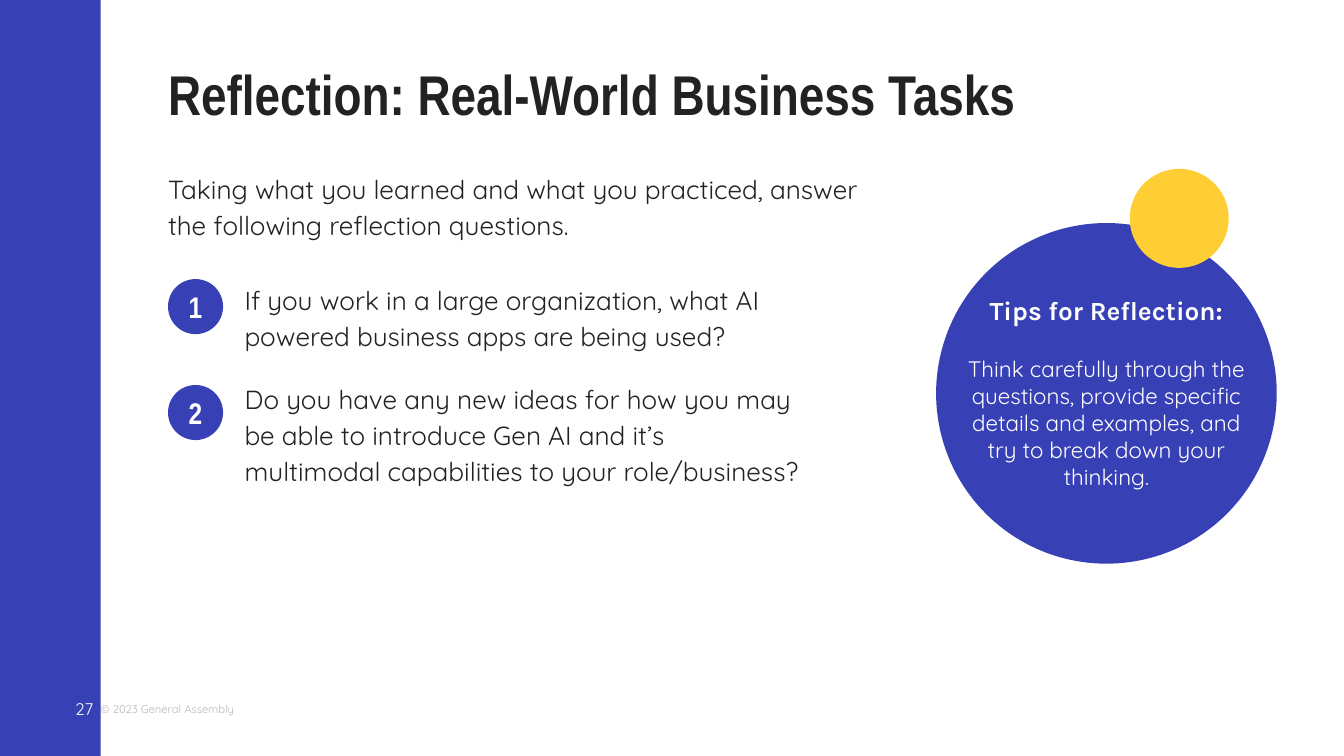
from pptx import Presentation
from pptx.dml.color import RGBColor
from pptx.enum.shapes import MSO_SHAPE as SHAPE
from pptx.enum.text import MSO_ANCHOR as ANCHOR, MSO_AUTO_SIZE as FIT, PP_ALIGN as ALIGN
from pptx.oxml.ns import qn
from pptx.util import Pt
from lxml import etree

COLORS = {"blue": "3740B5", "yellow": "FFCD34", "ink": "222222", "white": "FFFFFF", "gray": "B7B7B7"}
BODY = {"name": "Quicksand", "size": Pt(14), "bold": False}
HEAD = {"name": "Arial Narrow", "size": Pt(30), "bold": True}
PARA = {"line_spacing": 1.15, "space_after": Pt(10)}
CENTER = {"alignment": ALIGN.CENTER}


class SlideBuilder:
    def __init__(self, prs):
        self.slide = prs.slides.add_slide(prs.slide_layouts[3])
        self.title, self.first, self.second = list(self.slide.placeholders)[:3]
        for ph in list(self.slide.placeholders)[3:]:
            ph.element.getparent().remove(ph.element)

    def color(self, name):
        return RGBColor.from_string(COLORS[name])

    def frame(self, sp, inset=0, anchor=ANCHOR.TOP):
        tf = sp.text_frame
        values = {"word_wrap": True, "auto_size": FIT.NONE, "vertical_anchor": anchor}
        for side in ("left", "top", "right", "bottom"):
            values[f"margin_{side}"] = Pt(inset)
        for key, value in values.items():
            setattr(tf, key, value)
        return tf

    def add_text(self, p, text, font, color, para=None):
        r = p.add_run()
        r.text = text
        for key, value in font.items():
            setattr(r.font, key, value)
        r.font.color.rgb = self.color(color)
        for key, value in (para or {}).items():
            setattr(p, key, value)

    def shape(self, kind, x, y, w, h, color):
        sp = self.slide.shapes.add_shape(kind, Pt(x), Pt(y), Pt(w), Pt(h))
        sp.shadow.inherit = False
        sp.fill.solid()
        sp.fill.fore_color.rgb = self.color(color)
        sp.line.fill.background()
        return sp

    def text(self, x, y, w, h, lines, inset=0, anchor=ANCHOR.TOP):
        sp = self.slide.shapes.add_textbox(Pt(x), Pt(y), Pt(w), Pt(h))
        tf = self.frame(sp, inset, anchor)
        for i, line in enumerate(lines):
            self.add_text(tf.add_paragraph() if i else tf.paragraphs[0], *line)

    def placeholder(self, sp, x, y, w, h, text, font, para):
        sp.left, sp.top, sp.width, sp.height = Pt(x), Pt(y), Pt(w), Pt(h)
        p = self.frame(sp).paragraphs[0]
        pPr = p._p.get_or_add_pPr()
        pPr.set("marL", "0")
        pPr.set("indent", "0")
        etree.SubElement(pPr, qn("a:buNone"))
        self.add_text(p, text, font, "ink", {"alignment": ALIGN.LEFT, "space_before": Pt(0), **para})

    def badge(self, x, y, number):
        sp = self.shape(SHAPE.OVAL, x, y, 29.5, 29.5, "blue")
        p = self.frame(sp, 0, ANCHOR.MIDDLE).paragraphs[0]
        self.add_text(p, str(number), {**HEAD, "size": Pt(16)}, "white", CENTER)


def main():
    prs = Presentation()
    prs.slide_width, prs.slide_height = Pt(720), Pt(405)
    s = SlideBuilder(prs)

    s.shape(SHAPE.RECTANGLE, 0, 0, 54, 405, "blue")
    s.text(54, 372.5, 72, 14.5, [("© 2023 General Assembly", {**BODY, "size": Pt(6)}, "gray")],
           anchor=ANCHOR.MIDDLE)
    s.text(25, 367.5, 25, 25,
           [("27", {**BODY, "size": Pt(9)}, "white", {"alignment": ALIGN.RIGHT})], anchor=ANCHOR.MIDDLE)

    s.shape(SHAPE.OVAL, 501.5, 119.5, 182.5, 182.5, "blue")
    s.shape(SHAPE.OVAL, 605.25, 90.5, 53, 53, "yellow")
    s.text(508.5, 150.5, 168.5, 121, [
        ("Tips for Reflection:", {**BODY, "name": "Karla", "bold": True}, "white",
         {**CENTER, "space_after": Pt(16)}),
        ("Think carefully through the questions, provide specific details and examples, "
         "and try to break down your thinking.", {**BODY, "size": Pt(12)}, "white", CENTER),
    ], inset=7.2)

    s.placeholder(s.title, 90, 36, 471.5, 32.5, "Reflection: Real-World Business Tasks",
                  HEAD, {"line_spacing": 0.9})
    s.text(90, 90.5, 378, 44, [
        ("Taking what you learned and what you practiced, answer the following reflection questions.",
         BODY, "ink", PARA)])

    questions = [
        (s.first, 150, "If you work in a large organization, what AI powered business apps are being used?"),
        (s.second, 203, "Do you have any new ideas for how you may be able to introduce Gen AI "
                        "and it’s multimodal capabilities to your role/business?"),
    ]
    for i, (sp, y, question) in enumerate(questions):
        s.badge(90, 149.5 + 56.75 * i, i + 1)
        s.placeholder(sp, 131, y, 301, 36, question, BODY, PARA)

    prs.save("out.pptx")


if __name__ == "__main__":
    main()
